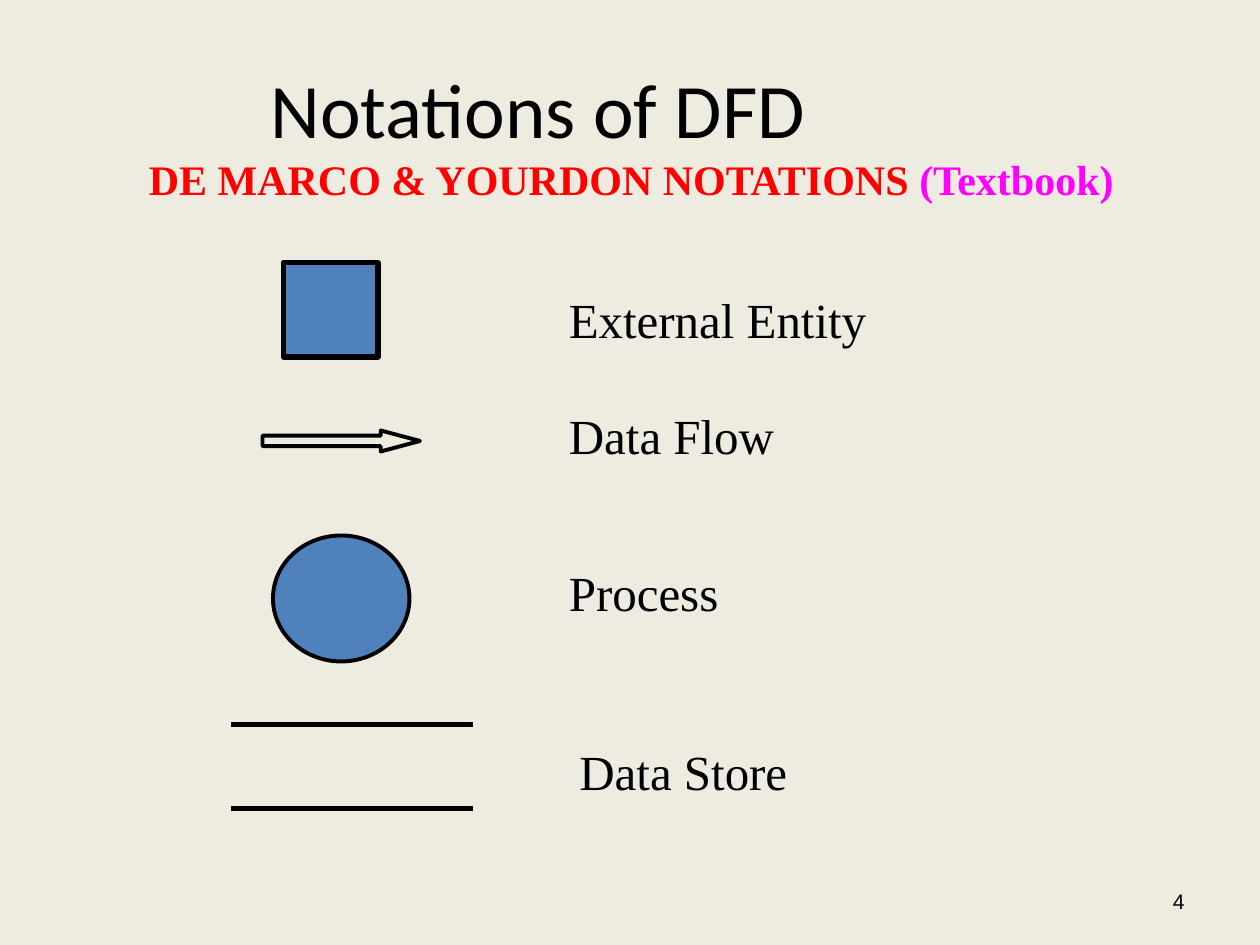
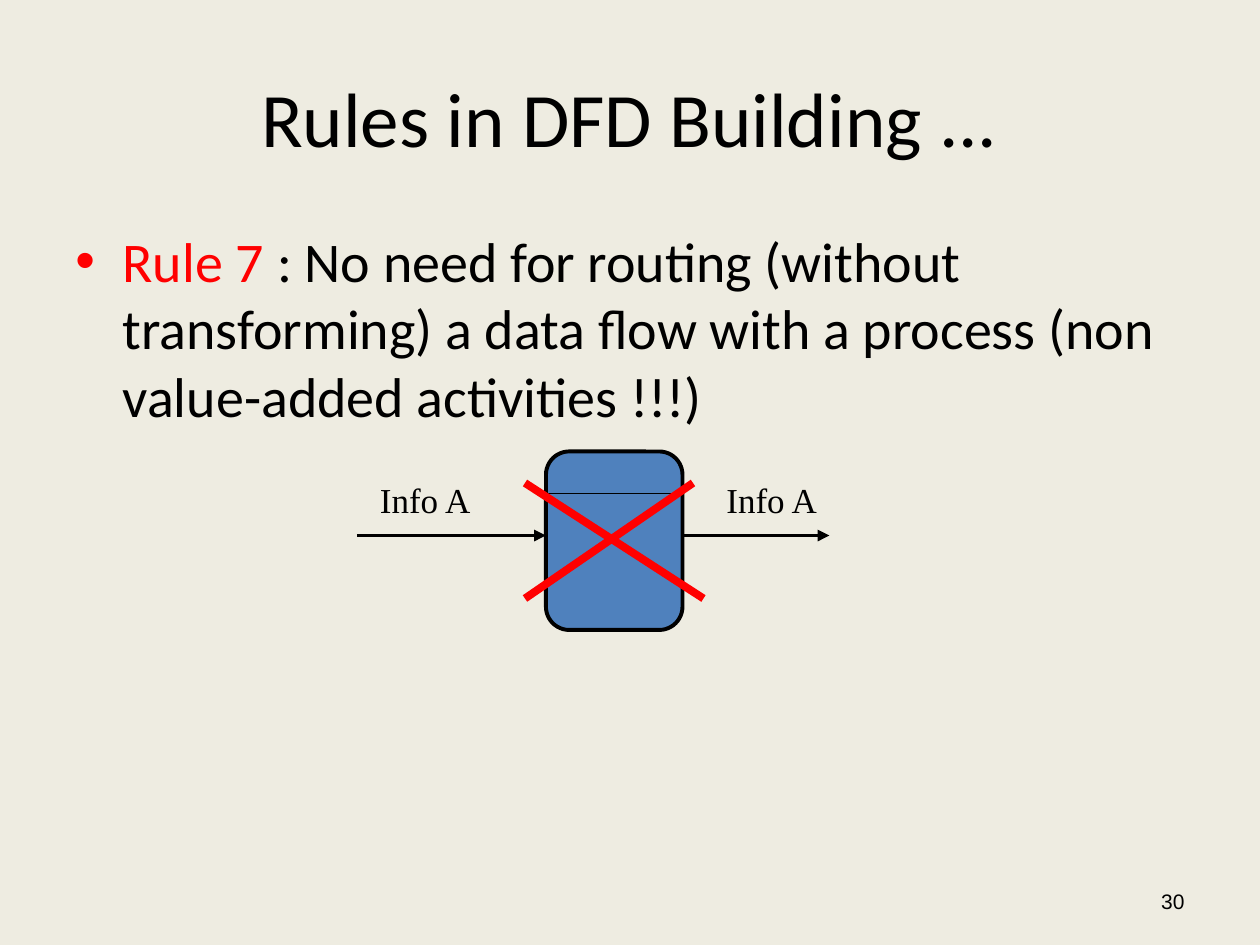
from dataclasses import dataclass

from lxml import etree
from pptx import Presentation
from pptx.dml.color import RGBColor
from pptx.enum.shapes import MSO_CONNECTOR, MSO_SHAPE
from pptx.enum.text import MSO_ANCHOR, MSO_AUTO_SIZE, PP_ALIGN
from pptx.oxml.ns import qn
from pptx.shapes.autoshape import Shape
from pptx.slide import Slide
from pptx.util import Inches, Pt

RECT, OVAL = MSO_SHAPE.RECTANGLE, MSO_SHAPE.OVAL
ARROW, ROUND = MSO_SHAPE.RIGHT_ARROW, MSO_SHAPE.ROUNDED_RECTANGLE
LINE = MSO_CONNECTOR.STRAIGHT
TOP, MIDDLE = MSO_ANCHOR.TOP, MSO_ANCHOR.MIDDLE
LEFT, CENTER, RIGHT = PP_ALIGN.LEFT, PP_ALIGN.CENTER, PP_ALIGN.RIGHT
GROW, FIXED = MSO_AUTO_SIZE.SHAPE_TO_FIT_TEXT, MSO_AUTO_SIZE.NONE

COLS, ROWS = 120, 90
WIDTH, HEIGHT = Inches(10), Inches(7.5)
PAPER, BLUE, BLACK, RED, PINK = "EEECE1", "4F81BD", "000000", "FF0000", "FF00FF"
SANS, SERIF, PLAIN = "Calibri", "Times New Roman", "Arial"
INDENT = Inches(0.375)


@dataclass(frozen=True)
class Box:
    """A place on the grid, in columns and rows."""
    col: float
    row: float
    wide: float
    high: float

    def place(self) -> tuple[int, int, int, int]:
        """Give left, top, width and height as lengths."""
        return across(self.col), down(self.row), across(self.wide), down(self.high)


@dataclass(frozen=True)
class Style:
    """The look of one kind of text."""
    font: str
    size: float
    align: PP_ALIGN = LEFT
    anchor: MSO_ANCHOR = TOP
    fit: MSO_AUTO_SIZE = GROW
    before: float = 0
    bold: bool = False
    bullet: str = ""


@dataclass(frozen=True)
class Part:
    """A run of text in one colour."""
    words: str
    color: str = BLACK


@dataclass(frozen=True)
class Form:
    """A filled preset shape with a black outline."""
    kind: MSO_SHAPE
    box: Box
    weight: float
    fill: str = BLUE
    adjust: tuple[float, ...] = ()


@dataclass(frozen=True)
class Stroke:
    """A straight line between two grid points."""
    start: tuple[float, float]
    end: tuple[float, float]
    weight: float
    color: str = BLACK
    arrow: bool = False


TITLE = Style(SANS, 44, CENTER, MIDDLE, FIXED)
BODY = Style(SANS, 32, fit=FIXED, before=8, bullet=RED)
PAGE = Style(PLAIN, 12, RIGHT, MIDDLE, FIXED)
HEAD = Style(SERIF, 24, before=15, bold=True)
LABEL = Style(SERIF, 28, before=17.5)
NOTE = Style(SERIF, 20, before=12.5)

NAMES = [
    ("External Entity", Box(53, 27, 35, 6.8)),
    ("Data Flow", Box(53, 38, 26, 6.8)),
    ("Process", Box(53, 53, 51, 6.8)),
    ("Data Store", Box(54, 70, 28, 6.8)),
]
SIGNS = [
    Form(RECT, Box(27, 25, 9, 9), 3),
    Form(ARROW, Box(25, 41, 15, 2), 2.25, PAPER, (0.5, 1.87)),
    Form(OVAL, Box(26, 51, 13, 12), 2.25),
]
STORE = [Stroke((22, row), (45, row), 3) for row in (69, 77)]

STEP = Form(ROUND, Box(52, 43, 13, 17), 2.25, adjust=(0.17,))
FLOWS = [
    Stroke((34, 51), (52, 51), 2.25, arrow=True),
    Stroke((65, 51), (79, 51), 2.25, arrow=True),
    Stroke((52, 47), (65, 47), 0.75),
]
CROSS = [
    Stroke((50, 46), (67, 57), 4.5, RED),
    Stroke((66, 46), (50, 57), 4.5, RED),
]


def across(cols: float) -> int:
    """Turn columns into a length."""
    return round(WIDTH * cols / COLS)


def down(rows: float) -> int:
    """Turn rows into a length."""
    return round(HEIGHT * rows / ROWS)


def paint(code: str) -> RGBColor:
    """Turn a hex string into a colour."""
    return RGBColor.from_string(code)


def write(slide: Slide, box: Box, style: Style, *parts: Part) -> None:
    """Add a text box holding one paragraph of runs."""
    frame = slide.shapes.add_textbox(*box.place()).text_frame
    frame.word_wrap = True
    frame.auto_size = style.fit
    frame.vertical_anchor = style.anchor
    para = frame.paragraphs[0]
    para.alignment = style.align
    para.space_before = Pt(style.before)
    if style.bullet:
        props = para._p.get_or_add_pPr()
        props.set("marL", str(INDENT))
        props.set("indent", str(-INDENT))
        tint = etree.SubElement(props, qn("a:buClr"))
        etree.SubElement(tint, qn("a:srgbClr"), val=style.bullet)
        etree.SubElement(props, qn("a:buFont"), typeface=PLAIN)
        etree.SubElement(props, qn("a:buChar"), char="•")
    for part in parts:
        run = para.add_run()
        run.text = part.words
        run.font.name = style.font
        run.font.size = Pt(style.size)
        run.font.bold = style.bold
        run.font.color.rgb = paint(part.color)


def draw(slide: Slide, form: Form) -> Shape:
    """Add a preset shape."""
    shape = slide.shapes.add_shape(form.kind, *form.box.place())
    shape.shadow.inherit = False
    shape.fill.solid()
    shape.fill.fore_color.rgb = paint(form.fill)
    shape.line.color.rgb = paint(BLACK)
    shape.line.width = Pt(form.weight)
    for index, value in enumerate(form.adjust):
        shape.adjustments[index] = value
    return shape


def link(slide: Slide, stroke: Stroke) -> None:
    """Add a straight line, with an arrowhead if asked."""
    (left, top), (right, low) = stroke.start, stroke.end
    line = slide.shapes.add_connector(
        LINE, across(left), down(top), across(right), down(low))
    line.line.color.rgb = paint(stroke.color)
    line.line.width = Pt(stroke.weight)
    props = line._element.spPr
    if stroke.arrow:
        etree.SubElement(props.find(qn("a:ln")), qn("a:tailEnd"), type="triangle")
    etree.SubElement(props, qn("a:effectLst"))


def start(deck: Presentation, title: str, box: Box, page: int) -> Slide:
    """Add a slide with its title and page number."""
    slide = deck.slides.add_slide(deck.slide_layouts[6])
    write(slide, box, TITLE, Part(title))
    write(slide, Box(86, 83.4, 28, 4.8), PAGE, Part(str(page)))
    return slide


def notation(deck: Presentation) -> None:
    """Build the slide of symbols and their names."""
    slide = start(deck, "Notations of DFD", Box(7.5, 3.6, 87.5, 13.4), 4)
    for sign in SIGNS:
        draw(slide, sign)
    for name, box in NAMES:
        write(slide, box, LABEL, Part(name))
    for edge in STORE:
        link(slide, edge)
    write(slide, Box(13, 14, 96, 13.3), HEAD,
          Part("DE MARCO & YOURDON NOTATIONS ", RED), Part("(Textbook)", PINK))


def rule(deck: Presentation) -> None:
    """Build the slide of the rule and its crossed-out process."""
    slide = start(deck, "Rules in DFD Building ...", Box(6, 3.6, 108, 15), 30)
    write(slide, Box(6, 21, 108, 59.4), BODY, Part("Rule 7", RED),
          Part(" : No need for routing (without transforming) a data flow "
               "with a process (non value-added activities !!!)"))
    draw(slide, STEP)
    for flow in FLOWS:
        link(slide, flow)
    for col in (35, 68):
        write(slide, Box(col, 45, 14, 5.25), NOTE, Part("Info A"))
    for bar in CROSS:
        link(slide, bar)


def main() -> None:
    """Build and save the deck."""
    deck = Presentation()
    deck.slide_width, deck.slide_height = WIDTH, HEIGHT
    back = deck.slide_master.background.fill
    back.solid()
    back.fore_color.rgb = paint(PAPER)
    notation(deck)
    rule(deck)
    deck.save("out.pptx")


if __name__ == "__main__":
    main()
